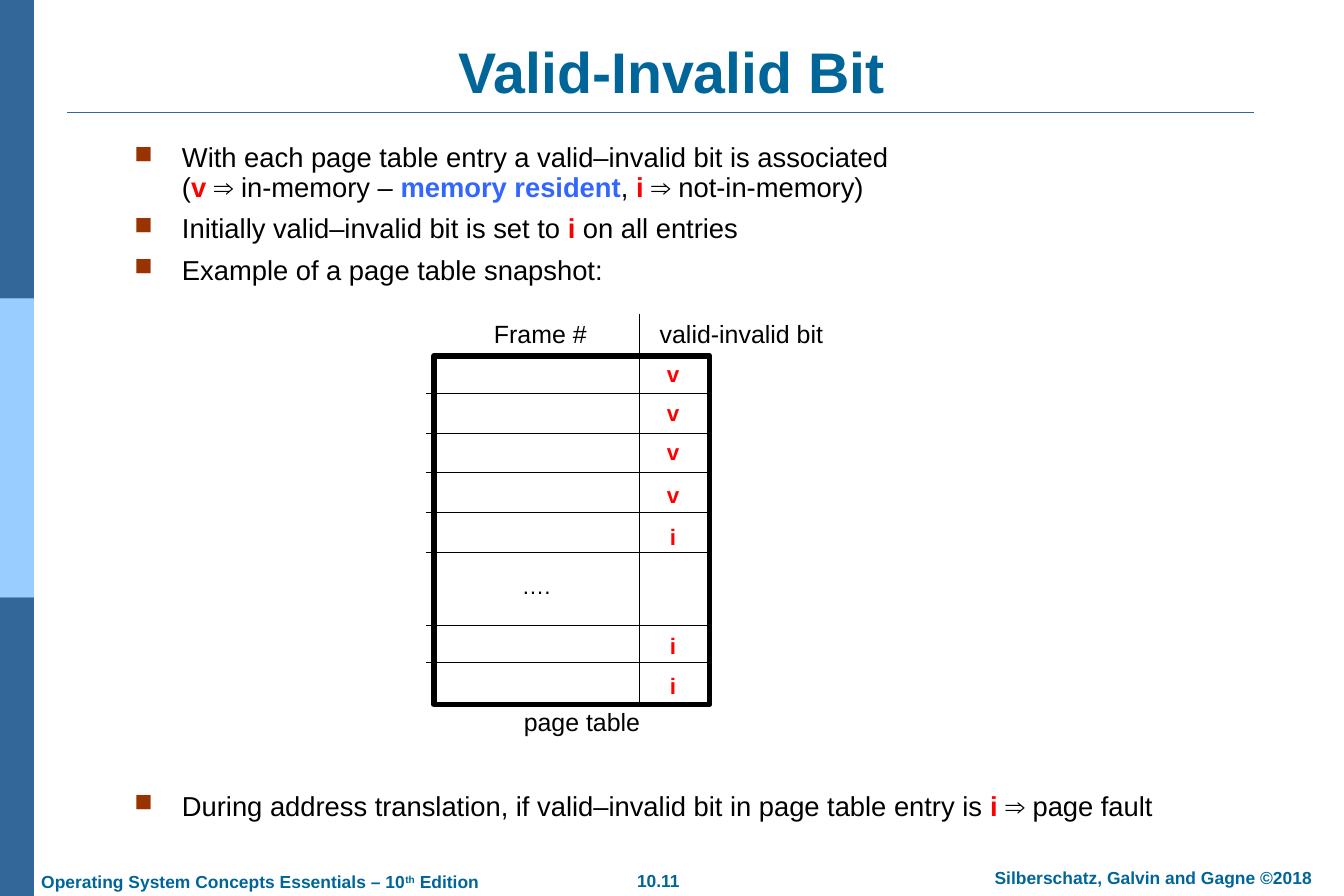
from lxml import etree
from pptx import Presentation
from pptx.dml.color import RGBColor
from pptx.enum.shapes import MSO_CONNECTOR, MSO_SHAPE
from pptx.enum.text import MSO_ANCHOR, PP_ALIGN
from pptx.oxml.ns import qn
from pptx.util import Cm, Pt

RECT = MSO_SHAPE.RECTANGLE
LINE = MSO_CONNECTOR.STRAIGHT
LEFT, CENTER = PP_ALIGN.LEFT, PP_ALIGN.CENTER
TOP, MIDDLE, BOTTOM = MSO_ANCHOR.TOP, MSO_ANCHOR.MIDDLE, MSO_ANCHOR.BOTTOM


class Theme:
    font = "Arial"
    teal = "006699"
    navy = "336699"
    sky = "99CCFF"
    rust = "993300"
    red = "FF0000"
    blue = "3366FF"
    black = "000000"
    white = "FFFFFF"
    title = 46
    body = 22
    label = 20
    cell = 18
    foot = 14


def write(text, x, y, w, h, size=Theme.label, color=Theme.black, bold=False,
          align=CENTER, anchor=MIDDLE, bullet=False):
    """Add a text box; text is a string or a list of paragraphs, each a list
    of runs (text, mark), where mark is a bold colour, "super" or None."""
    frame = slide.shapes.add_textbox(Cm(x), Cm(y), Cm(w), Cm(h)).text_frame
    frame.word_wrap = True
    frame.vertical_anchor = anchor
    frame.margin_left = frame.margin_right = Cm(0.36)
    frame.margin_top = frame.margin_bottom = Cm(0.18)
    paras = [[(text, None)]] if isinstance(text, str) else text
    for i, runs in enumerate(paras):
        para = frame.add_paragraph() if i else frame.paragraphs[0]
        para.alignment = align
        if bullet:
            props = para._p.get_or_add_pPr()
            props.set("marL", str(Cm(1.35)))
            props.set("indent", str(Cm(-1.35)))
            tint = etree.SubElement(props, qn("a:buClr"))
            etree.SubElement(tint, qn("a:srgbClr"), val=Theme.rust)
            etree.SubElement(props, qn("a:buSzPct"), val="90000")
            etree.SubElement(props, qn("a:buChar"), char="■")
            para.line_spacing = 0.9
            if i:
                para.space_before = Pt(9.6)
        for words, mark in runs:
            for j, part in enumerate(words.split("\n")):
                if j:
                    para.add_line_break()
                run = para.add_run()
                run.text = part
                font = run.font
                font.name, font.size = Theme.font, Pt(size)
                raised = mark == "super"
                strong = mark is not None and not raised
                font.bold = bold or strong
                font.color.rgb = RGBColor.from_string(mark if strong else color)
                if raised:
                    run._r.get_or_add_rPr().set("baseline", "30000")


def rule(x1, y1, x2, y2, color=Theme.black, width=0.75):
    line = slide.shapes.add_connector(LINE, Cm(x1), Cm(y1), Cm(x2), Cm(y2))
    line.line.color.rgb = RGBColor.from_string(color)
    line.line.width = Pt(width)
    etree.SubElement(line._element.spPr, qn("a:effectLst"))


deck = Presentation()
deck.slide_width, deck.slide_height = Cm(38.1), Cm(25.4)
slide = deck.slides.add_slide(deck.slide_layouts[6])

# Side band and page table frame
band = 25.4 / 3
blocks = [(0, i * band, 0.96, band, fill, None)
          for i, fill in enumerate((Theme.navy, Theme.sky, Theme.navy))]
blocks.append((12.3, 10.09, 7.82, 9.88, Theme.white, Theme.black))
for x, y, w, h, fill, edge in blocks:
    block = slide.shapes.add_shape(RECT, Cm(x), Cm(y), Cm(w), Cm(h))
    block.shadow.inherit = False
    block.fill.solid()
    block.fill.fore_color.rgb = RGBColor.from_string(fill)
    if edge:
        block.line.color.rgb = RGBColor.from_string(edge)
        block.line.width = Pt(4.5)
    else:
        block.line.fill.background()

# Title and footer
rule(1.9, 3.19, 35.56, 3.19, Theme.navy, 1.5)
write("Valid-Invalid Bit", 1.9, 1.02, 34.29, 2.13, size=Theme.title,
      color=Theme.teal, bold=True, anchor=BOTTOM)
edition = [[("Operating System Concepts Essentials – 10", None),
            ("th", "super"), (" Edition", None)]]
for text, x, y, w, align in (
        (edition, 0.81, 24.51, 13.6, LEFT),
        ("10.11", 16.76, 24.49, 3.81, CENTER),
        ("Silberschatz, Galvin and Gagne ©2018", 27.05, 24.41, 11.3, CENTER)):
    write(text, x, y, w, 0.97, size=Theme.foot, color=Theme.teal, bold=True,
          align=align, anchor=TOP)

# Bullets above and below the table
intro = [
    [("With each page table entry a valid–invalid bit is associated\n(", None),
     ("v ", Theme.red), ("⇒ in-memory – ", None),
     ("memory resident", Theme.blue), (", ", None),
     ("i ", Theme.red), ("⇒ not-in-memory)", None)],
    [("Initially valid–invalid bit is set to", None),
     (" i ", Theme.red), ("on all entries", None)],
    [("Example of a page table snapshot:", None)],
]
fault = [[("During address translation, if valid–invalid bit in page table "
           "entry is", None), (" i ", Theme.red), ("⇒ page fault", None)]]
for text, y, h in ((intro, 3.91, 4.6), (fault, 22.3, 1.4)):
    write(text, 3.45, y, 32.41, h, size=Theme.body, align=LEFT, anchor=TOP,
          bullet=True)

# Page table rows, bits and labels
for y in [11.15 + 1.125 * i for i in range(5)] + [17.73, 18.77]:
    rule(12.09, y, 20.04, y)
rule(18.14, 8.89, 18.14, 19.89)
for bit, y in zip("vvvviii", (10.59, 11.68, 12.8, 14.02, 15.21, 18.31, 19.43)):
    write(bit, 18.52, y - 0.56, 1.12, 1.12, size=Theme.cell, color=Theme.red,
          bold=True)
write("….", 14.2, 16.05, 2, 1.12, size=Theme.cell)
for text, x, y, w in (("Frame #", 13.32, 8.84, 4),
                      ("valid-invalid bit", 18.02, 8.84, 6),
                      ("page table", 14.25, 19.84, 4.5)):
    write(text, x, y, w, 1.22)

deck.save("out.pptx")
